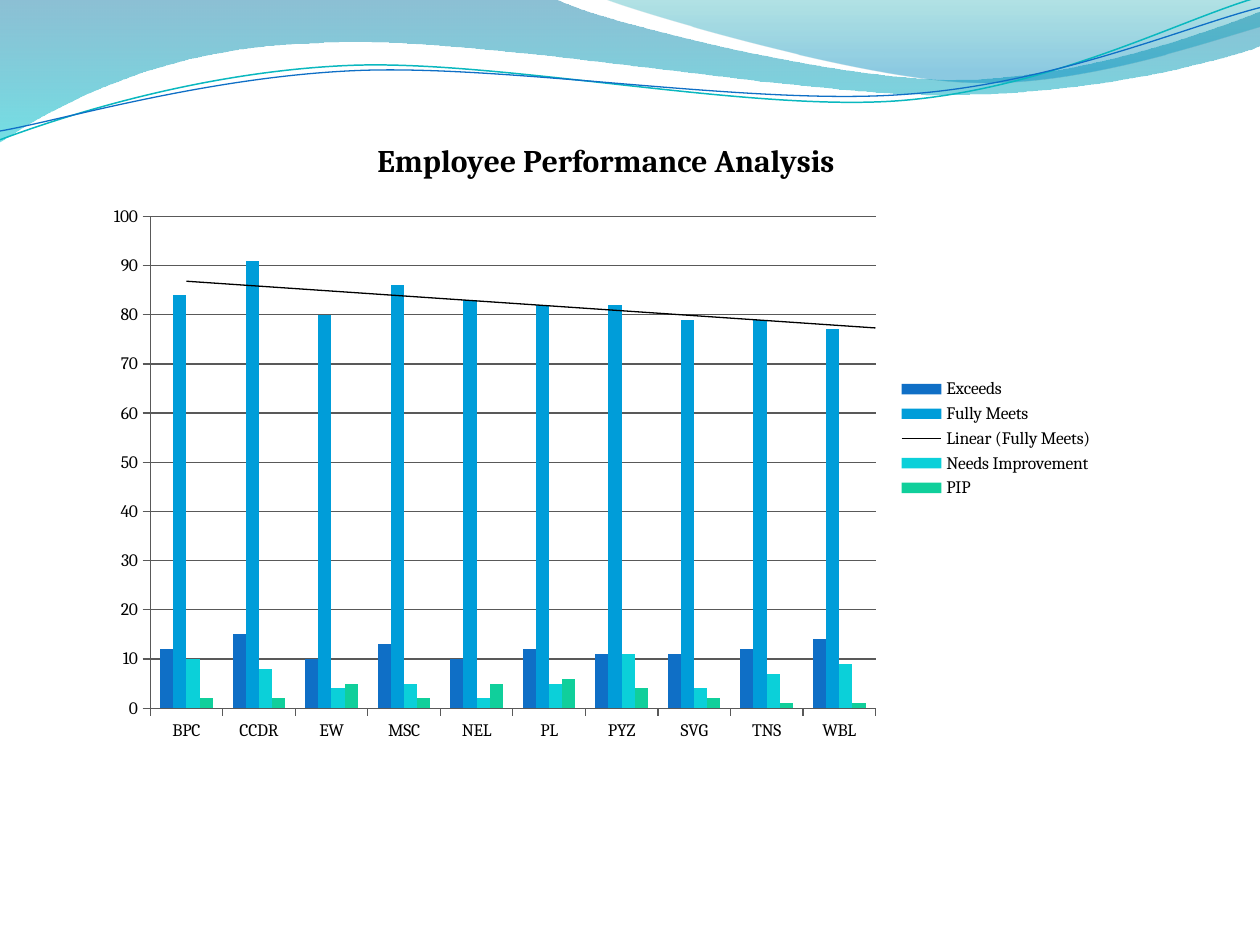
"""Build a slide with a wave banner and an employee performance chart."""
from math import cos, radians, sin

from lxml import etree
from pptx import Presentation
from pptx.chart.data import CategoryChartData
from pptx.dml.color import RGBColor
from pptx.enum.chart import XL_CHART_TYPE, XL_LEGEND_POSITION, XL_TICK_MARK
from pptx.oxml import parse_xml
from pptx.oxml.ns import nsdecls, qn
from pptx.util import Inches, Pt

BLACK = RGBColor(0x00, 0x00, 0x00)
GRID_GRAY = RGBColor(0x59, 0x59, 0x59)
BLUE = RGBColor(0x0F, 0x6F, 0xC6)
SKY = RGBColor(0x00, 0x9D, 0xD9)
CYAN = RGBColor(0x0B, 0xD0, 0xD9)
GREEN = RGBColor(0x10, 0xCF, 0x9B)
TEAL_LINE = RGBColor(0x0A, 0xB8, 0xBF)
DEEP_BLUE = RGBColor(0x00, 0x74, 0xA1)
TURQUOISE = RGBColor(0x00, 0xC6, 0xCF)
TEAL = RGBColor(0x00, 0xA1, 0xA9)
OCEAN = RGBColor(0x00, 0x8B, 0xBF)
FONT = "Cambria"
STRAND_ANGLE = 357.3

presentation = Presentation()
presentation.slide_width, presentation.slide_height = Inches(10), Inches(7.5)
slide = presentation.slides.add_slide(presentation.slide_layouts[6])


def draw_wave(frame, start, segments, close, rotation=0):
    """Draw line segments (2 numbers) and Bezier segments (6 numbers) in a turned frame."""
    left, top, width, height = frame
    middle_x, middle_y = left + width / 2, top + height / 2
    cosine, sine = cos(radians(-rotation)), sin(radians(-rotation))
    anchors = [(Inches(s[-2]), Inches(s[-1])) for s in segments]
    builder = slide.shapes.build_freeform(Inches(start[0]), Inches(start[1]))
    builder.add_line_segments(anchors, close=close)
    wave = builder.convert_to_shape()
    wave.shadow.inherit = False
    wave.left, wave.top, wave.width, wave.height = [Inches(value) for value in frame]
    wave.rotation = rotation

    outline = next(wave._element.iter(qn("a:path")))
    outline.set("w", str(wave.width))
    outline.set("h", str(wave.height))
    for command, numbers in zip(list(outline), [start, *segments]):
        if len(numbers) == 6:
            command.tag = qn("a:cubicBezTo")
        for point in list(command):
            command.remove(point)
        for x, y in zip(numbers[::2], numbers[1::2]):
            dx, dy = x - middle_x, y - middle_y
            point = etree.SubElement(command, qn("a:pt"))
            point.set("x", str(Inches(dx * cosine - dy * sine + width / 2)))
            point.set("y", str(Inches(dx * sine + dy * cosine + height / 2)))
    return wave


bands = [
    ((-0.01, -0.01, 10.02, 1.14), (0, 0), [
        (4.4, -0.01), (4.76, 0.17, 6.64, 0.63, 7.58, 0.63),
        (8.53, 0.63, 9.58, 0.26, 10, 0.09), (10.01, 0.36),
        (9.83, 0.44, 8.7, 0.76, 7.46, 0.75), (6.22, 0.75, 3.82, 0.28, 2.57, 0.34),
        (1.29, 0.36, 0.46, 0.83, -0.01, 1.13), (0, 0)],
     [(0, DEEP_BLUE, 45), (1, TURQUOISE, 55)]),
    ((4.79, -0.01, 5.21, 0.7), (4.79, -0.01), [
        (5.09, 0.11, 6.82, 0.62, 7.69, 0.65), (8.56, 0.69, 9.61, 0.32, 10, 0.21),
        (10, 0), (4.79, -0.01)],
     [(0, TEAL, 30), (0.8, OCEAN, 45)]),
]
for frame, start, segments, stops in bands:
    band = draw_wave(frame, start, segments, True)
    band.line.fill.background()
    band.fill.gradient()
    band.fill.gradient_angle = 270
    for stop, (position, color, _) in zip(band.fill.gradient_stops, stops):
        stop.position = position
        stop.color.rgb = color
    gradient = band._element.spPr.find(qn("a:gradFill"))
    for rgb, (_, _, opacity) in zip(gradient.iter(qn("a:srgbClr")), stops):
        etree.SubElement(rgb, qn("a:alpha")).set("val", str(opacity * 1000))

strands = [
    ((-0.02, 0.22, 10.02, 0.71), (0, 1.11), [
        (0.48, 0.93, 1.58, 0.57, 2.77, 0.52), (3.95, 0.47, 5.93, 0.89, 7.13, 0.8),
        (8.33, 0.71, 9.38, 0.15, 9.98, -0.02)], TEAL_LINE, 0.85),
    ((-0.02, 0.3, 10.03, 0.58), (0, 1.04), [
        (0.47, 0.96, 1.64, 0.61, 2.83, 0.56), (4.03, 0.51, 5.97, 0.84, 7.17, 0.75),
        (8.36, 0.67, 9.41, 0.21, 10, 0.06)], BLUE, 0.75),
]
strand_pair = []
for frame, start, segments, color, width in strands:
    strand = draw_wave(frame, start, segments, False, STRAND_ANGLE)
    strand.fill.background()
    strand.line.color.rgb = color
    strand.line.width = Pt(width)
    strand_pair.append(strand)
slide.shapes.add_group_shape(strand_pair)

ratings = [
    ("Exceeds", (12, 15, 10, 13, 10, 12, 11, 11, 12, 14), BLUE),
    ("Fully Meets", (84, 91, 80, 86, 83, 82, 82, 79, 79, 77), SKY),
    ("Needs Improvement", (10, 8, 4, 5, 2, 5, 11, 4, 7, 9), CYAN),
    ("PIP", (2, 2, 5, 2, 5, 6, 4, 2, 1, 1), GREEN),
]
performance = CategoryChartData()
performance.categories = ["BPC", "CCDR", "EW", "MSC", "NEL", "PL", "PYZ", "SVG", "TNS", "WBL"]
for name, values, _ in ratings:
    performance.add_series(name, values)
chart = slide.shapes.add_chart(
    XL_CHART_TYPE.COLUMN_CLUSTERED, Inches(0.75), Inches(0.99), Inches(8.03), Inches(4.98),
    performance).chart
chart.font.name = FONT
chart.font.size = Pt(10)
chart.font.color.rgb = BLACK

chart.has_title = True
heading = chart.chart_title.text_frame
heading.text = "Employee Performance Analysis"
heading_font = heading.paragraphs[0].runs[0].font
heading_font.name, heading_font.size, heading_font.bold = FONT, Pt(18), True
heading_font.color.rgb = BLACK

chart.has_legend = True
chart.legend.position = XL_LEGEND_POSITION.RIGHT
chart.legend.include_in_layout = False

columns = chart.plots[0]
columns.gap_width = 150
columns.overlap = 0
columns.vary_by_categories = False
for series, (_, _, color) in zip(columns.series, ratings):
    series.format.fill.solid()
    series.format.fill.fore_color.rgb = color

scores = chart.value_axis
scores.minimum_scale, scores.maximum_scale, scores.major_unit = 0, 100, 10
scores.has_major_gridlines = True
for axis in (scores, chart.category_axis):
    axis.major_tick_mark = XL_TICK_MARK.OUTSIDE
    axis.minor_tick_mark = XL_TICK_MARK.NONE
for edge in (scores.format, chart.category_axis.format, scores.major_gridlines.format):
    edge.line.color.rgb = GRID_GRAY
    edge.line.width = Pt(0.75)

trend = parse_xml(
    f'<c:trendline {nsdecls("c", "a")}><c:spPr><a:ln w="{Pt(0.75)}"><a:solidFill>'
    f'<a:srgbClr val="{BLACK}"/></a:solidFill></a:ln></c:spPr>'
    '<c:trendlineType val="linear"/><c:forward val="0.5"/>'
    '<c:dispRSqr val="0"/><c:dispEq val="0"/></c:trendline>')
columns.series[1]._element.find(qn("c:cat")).addprevious(trend)

plot_area = chart._chartSpace.chart.plotArea
for old_layout in plot_area.findall(qn("c:layout")):
    plot_area.remove(old_layout)
plot_area.insert(0, parse_xml(
    f'<c:layout {nsdecls("c")}><c:manualLayout><c:layoutTarget val="inner"/>'
    '<c:xMode val="edge"/><c:yMode val="edge"/><c:x val="0.055"/><c:y val="0.146"/>'
    '<c:w val="0.717"/><c:h val="0.784"/></c:manualLayout></c:layout>'))

title_element = chart.chart_title._element
for old_layout in title_element.findall(qn("c:layout")):
    title_element.remove(old_layout)
title_element.find(qn("c:tx")).addnext(parse_xml(
    f'<c:layout {nsdecls("c")}><c:manualLayout><c:xMode val="edge"/><c:yMode val="edge"/>'
    '<c:x val="0.274"/><c:y val="0.015"/></c:manualLayout></c:layout>'))

presentation.save("out.pptx")
